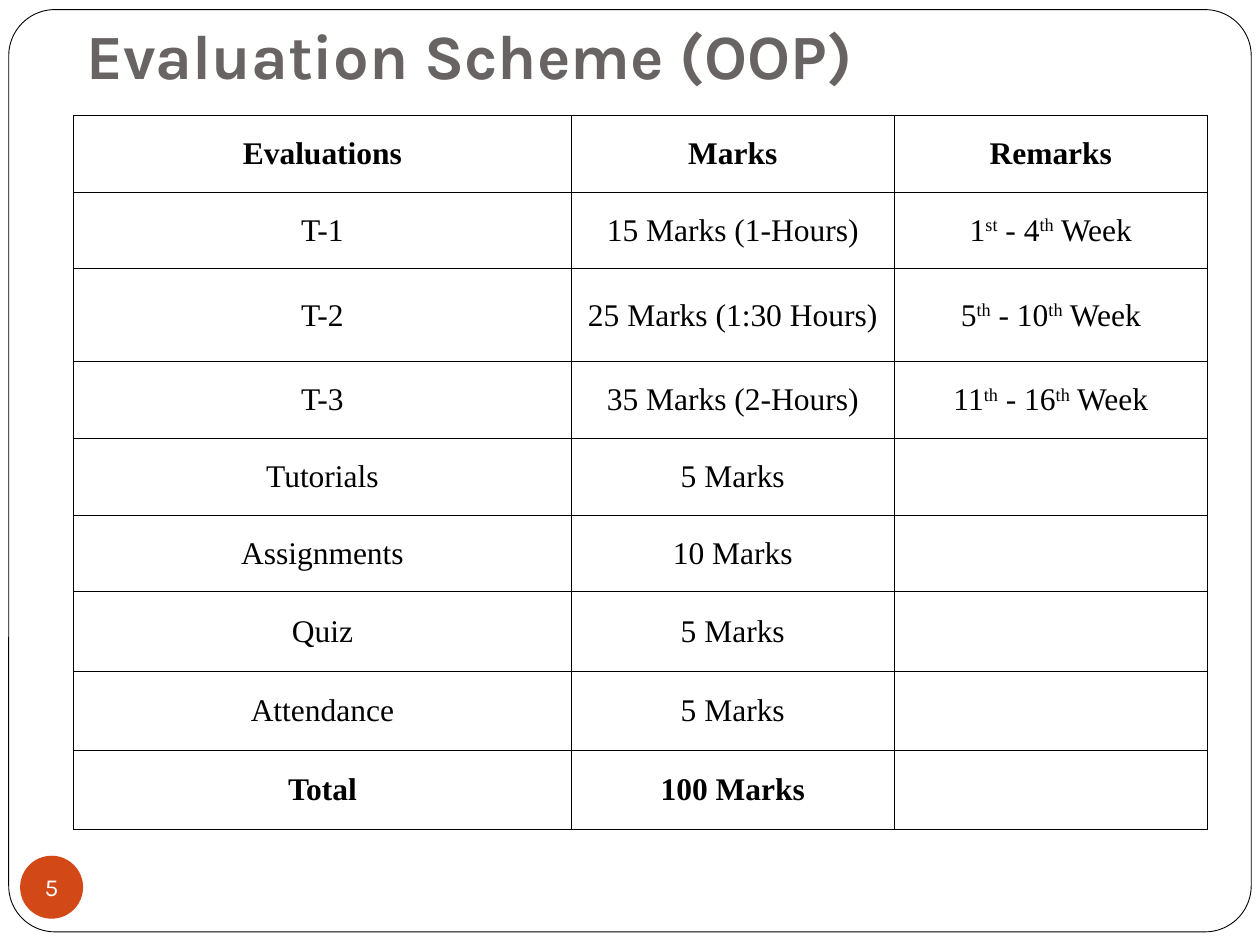
from lxml.etree import SubElement as Sub
from pptx import Presentation
from pptx.dml.color import RGBColor
from pptx.enum.shapes import MSO_SHAPE as Kind
from pptx.enum.text import MSO_ANCHOR as Anchor, PP_ALIGN as Align
from pptx.oxml.ns import qn
from pptx.util import Pt


def style(font, name, size, color, bold=False):
    font.name, font.size, font.bold = name, Pt(size), bold
    font.color.rgb = RGBColor.from_string(color)


def edge(cell):
    """Draw a thin black border on all four sides of the cell."""
    props = cell._tc.get_or_add_tcPr()
    for i, side in enumerate(("lnL", "lnR", "lnT", "lnB")):
        line = props.makeelement(qn("a:" + side), {"w": str(Pt(0.45))})
        fill = Sub(line, qn("a:solidFill"))
        Sub(fill, qn("a:srgbClr"), val="000000")
        props.insert(i, line)


prs = Presentation()
prs.slide_width, prs.slide_height = Pt(720), Pt(540)
slide = prs.slides.add_slide(prs.slide_layouts[5])
shapes = slide.shapes

# Page frame, behind the title
frame = shapes.add_shape(Kind.ROUNDED_RECTANGLE, Pt(5), Pt(5.5), Pt(710), Pt(527))
frame.adjustments[0] = 0.05
frame.shadow.inherit = False
frame.fill.solid()
frame.fill.fore_color.rgb = RGBColor.from_string("FFFFFF")
frame.line.color.rgb = RGBColor.from_string("000000")
frame.line.width = Pt(0.5)
shapes._spTree.insert(2, frame._element)

title = shapes.title
title.left, title.top, title.width, title.height = Pt(42), Pt(7), Pt(642), Pt(53)
box = title.text_frame
box.text = "Evaluation Scheme (OOP)"
box.vertical_anchor = Anchor.BOTTOM
box.margin_left = box.margin_right = box.margin_bottom = Pt(7.2)
box.margin_top = Pt(3.6)
box.paragraphs[0].alignment = Align.LEFT
style(box.paragraphs[0].runs[0].font, "Karla", 36, "696464", True)

# Page number
badge = shapes.add_shape(Kind.OVAL, Pt(11.5), Pt(489), Pt(36), Pt(36))
badge.shadow.inherit = False
badge.fill.solid()
badge.fill.fore_color.rgb = RGBColor.from_string("D34817")
badge.line.fill.background()
box = badge.text_frame
box.text = "5"
box.word_wrap = False
box.vertical_anchor = Anchor.MIDDLE
box.margin_left = box.margin_right = box.margin_top = box.margin_bottom = 0
box.paragraphs[0].alignment = Align.CENTER
style(box.paragraphs[0].runs[0].font, "Karla", 14, "FFFFFF")

# Text between carets is superscript
rows = [
    ("Evaluations", "Marks", "Remarks"),
    ("T-1", "15 Marks (1-Hours)", "1^st^ - 4^th^ Week"),
    ("T-2", "25 Marks (1:30 Hours)", "5^th^ - 10^th^ Week"),
    ("T-3", "35 Marks (2-Hours)", "11^th^ - 16^th^ Week"),
    ("Tutorials", "5 Marks", ""),
    ("Assignments", "10 Marks", ""),
    ("Quiz", "5 Marks", ""),
    ("Attendance", "5 Marks", ""),
    ("Total", "100 Marks", ""),
]
widths = [284.5, 184.5, 179]
heights = [43.8, 43.8, 53.2, 43.8, 43.8, 43.8, 45.3, 45.3, 45.3]
table = shapes.add_table(len(rows), len(widths), Pt(42), Pt(66),
                         Pt(sum(widths)), Pt(sum(heights))).table
table.first_row = table.horz_banding = False
for col, width in zip(table.columns, widths):
    col.width = Pt(width)
for r, (row, height) in enumerate(zip(rows, heights)):
    table.rows[r].height = Pt(height)
    for c, text in enumerate(row):
        cell = table.cell(r, c)
        cell.fill.background()
        edge(cell)
        cell.vertical_anchor = Anchor.MIDDLE
        cell.margin_left = cell.margin_right = Pt(5.4)
        cell.margin_top = cell.margin_bottom = Pt(3.6)
        if not text:
            continue
        para = cell.text_frame.paragraphs[0]
        para.alignment = Align.CENTER
        para.space_after = Pt(6)
        for i, part in enumerate(text.split("^")):
            run = para.add_run()
            run.text = part
            style(run.font, "Times New Roman", 18, "000000", r in (0, len(rows) - 1))
            if i % 2:
                run._r.get_or_add_rPr().set("baseline", "30000")

prs.save("out.pptx")
